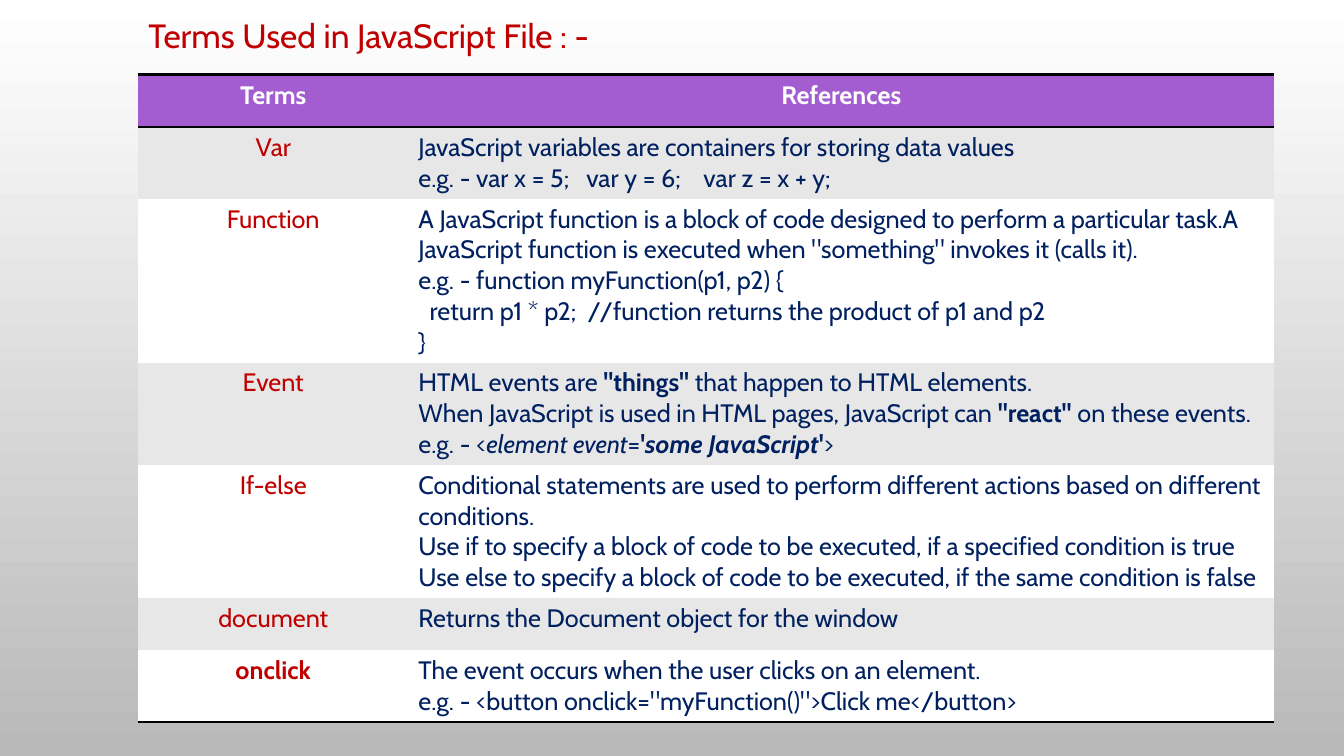
from dataclasses import dataclass
from typing import Any

from lxml.etree import SubElement
from pptx import Presentation
from pptx.dml.color import RGBColor
from pptx.enum.text import MSO_ANCHOR, MSO_AUTO_SIZE, PP_ALIGN
from pptx.oxml.ns import qn
from pptx.util import Inches, Length, Pt

COLORS = {
    "top": "FFFFFF", "bottom": "B9B9B9", "term": "C00000", "reference": "002060",
    "header": "A35DD1", "header_text": "FFFFFF", "rule": "000000",
    "odd": "E7E7E7", "even": "FFFFFF",
}
FONT = "Cabin"
WIDTH, HEIGHT = 13.33, 7.5
NO_STYLE = "{2D5ABB26-0587-4C30-8999-92F81FD0307C}"


@dataclass
class Run:
    text: str
    bold: bool = False
    italic: bool = False


@dataclass
class Entry:
    term: Run
    height: float  # percent of the slide height
    paragraphs: list[list[Run]]


def across(percent: float) -> Length:
    return Inches(WIDTH * percent / 100)


def down(percent: float) -> Length:
    return Inches(HEIGHT * percent / 100)


def set_all(target: Any, values: dict[str, Any]) -> None:
    for name, value in values.items():
        setattr(target, name, value)


def color(name: str) -> RGBColor:
    return RGBColor.from_string(COLORS[name])


def write(paragraph: Any, runs: list[Run], color_name: str, size: int = 18) -> None:
    for item in runs:
        for number, line in enumerate(item.text.split("\n")):
            if number:
                paragraph.add_line_break()
            run = paragraph.add_run()
            run.text = line
            set_all(run.font, {"name": FONT, "size": Pt(size),
                               "bold": item.bold, "italic": item.italic})
            run.font.color.rgb = color(color_name)


def fill_cell(cell: Any, paragraphs: list[list[Run]], text_color: str,
              fill: str, centred: bool) -> None:
    cell.fill.solid()
    cell.fill.fore_color.rgb = color(fill)
    frame = cell.text_frame
    for number, runs in enumerate(paragraphs):
        paragraph = frame.add_paragraph() if number else frame.paragraphs[0]
        paragraph.alignment = PP_ALIGN.CENTER if centred else PP_ALIGN.LEFT
        write(paragraph, runs, text_color)


def add_rules(cell: Any, sides: list[str]) -> None:
    properties = cell._tc.get_or_add_tcPr()
    for position, side in enumerate(sides):
        line = SubElement(properties, qn(f"a:ln{side}"), w=str(Pt(2)))
        solid = SubElement(line, qn("a:solidFill"))
        SubElement(solid, qn("a:srgbClr"), val=COLORS["rule"])
        properties.insert(position, line)  # borders come before the fill


HEADER = Entry(Run("Terms", bold=True), 6.93, [[Run("References", bold=True)]])
ENTRIES = [
    Entry(Run("Var"), 8.8, [
        [Run("JavaScript variables are containers for storing data values")],
        [Run("e.g. - var x = 5;   var y = 6;    var z = x + y;")],
    ]),
    Entry(Run("Function"), 20.27, [
        [Run("A JavaScript function is a block of code designed to perform a particular "
             "task.A JavaScript function is executed when \"something\" invokes it "
             "(calls it).")],
        [Run("e.g. - function myFunction(p1, p2) {\n"
             "  return p1 * p2;  //function returns the product of p1 and p2\n}")],
    ]),
    Entry(Run("Event"), 12.67, [
        [Run("HTML events are "), Run('"things"', bold=True),
         Run(" that happen to HTML elements.")],
        [Run("When JavaScript is used in HTML pages, JavaScript can "),
         Run('"react"', bold=True), Run(" on these events.")],
        [Run("e.g. - <"), Run("element event", italic=True), Run("="),
         Run("'", bold=True), Run("some JavaScript", bold=True, italic=True),
         Run("'", bold=True), Run(">")],
    ]),
    Entry(Run("If-else"), 16.4, [
        [Run("Conditional statements are used to perform different actions based on "
             "different conditions.")],
        [Run("Use if to specify a block of code to be executed, "
             "if a specified condition is true")],
        [Run("Use else to specify a block of code to be executed, "
             "if the same condition is false")],
    ]),
    Entry(Run("document"), 6.93, [[Run("Returns the Document object for the window")]]),
    Entry(Run("onclick", bold=True), 8.8, [
        [Run("The event occurs when the user clicks on an element.")],
        [Run('e.g. - <button onclick="myFunction()">Click me</button>')],
    ]),
]


def paint_background(slide: Any) -> None:
    fill = slide.background.fill
    fill.gradient()
    fill.gradient_angle = 270
    for stop, name, position in zip(fill.gradient_stops, ("top", "bottom"), (0, 1)):
        stop.color.rgb = color(name)
        stop.position = position


def add_title(slide: Any) -> None:
    title = slide.shapes.title
    set_all(title, {"left": across(10.28), "top": down(1.33),
                    "width": across(77.87), "height": down(6.67)})
    set_all(title.text_frame, {"word_wrap": True, "auto_size": MSO_AUTO_SIZE.NONE,
                               "vertical_anchor": MSO_ANCHOR.TOP})
    paragraph = title.text_frame.paragraphs[0]
    set_all(paragraph, {"alignment": PP_ALIGN.LEFT, "line_spacing": 1.0,
                        "space_before": Pt(0)})
    write(paragraph, [Run("Terms Used in JavaScript File : -")], "term", 24)


def add_terms_table(slide: Any) -> None:
    entries = [HEADER, *ENTRIES]
    columns = (20.1, 64.44)
    frame = slide.shapes.add_table(
        len(entries), len(columns), across(10.28), down(9.87),
        across(sum(columns)), down(sum(entry.height for entry in entries)))
    table = frame.table
    set_all(table, {"first_row": False, "horz_banding": False})
    table._tbl.tblPr.find(qn("a:tableStyleId")).text = NO_STYLE
    for column, width in zip(table.columns, columns):
        column.width = across(width)

    for index, entry in enumerate(entries):
        table.rows[index].height = down(entry.height)
        is_header = index == 0
        fill = "header" if is_header else "odd" if index % 2 else "even"
        term, reference = table.cell(index, 0), table.cell(index, 1)
        fill_cell(term, [[entry.term]], "header_text" if is_header else "term", fill, True)
        fill_cell(reference, entry.paragraphs,
                  "header_text" if is_header else "reference", fill, is_header)
        sides = ["T", "B"] if is_header else ["B"] if entry is entries[-1] else []
        for cell in (term, reference):
            add_rules(cell, sides)


def main() -> None:
    presentation = Presentation()
    set_all(presentation, {"slide_width": Inches(WIDTH), "slide_height": Inches(HEIGHT)})
    slide = presentation.slides.add_slide(presentation.slide_layouts[5])
    paint_background(slide)
    add_title(slide)
    add_terms_table(slide)
    presentation.save("out.pptx")


if __name__ == "__main__":
    main()
